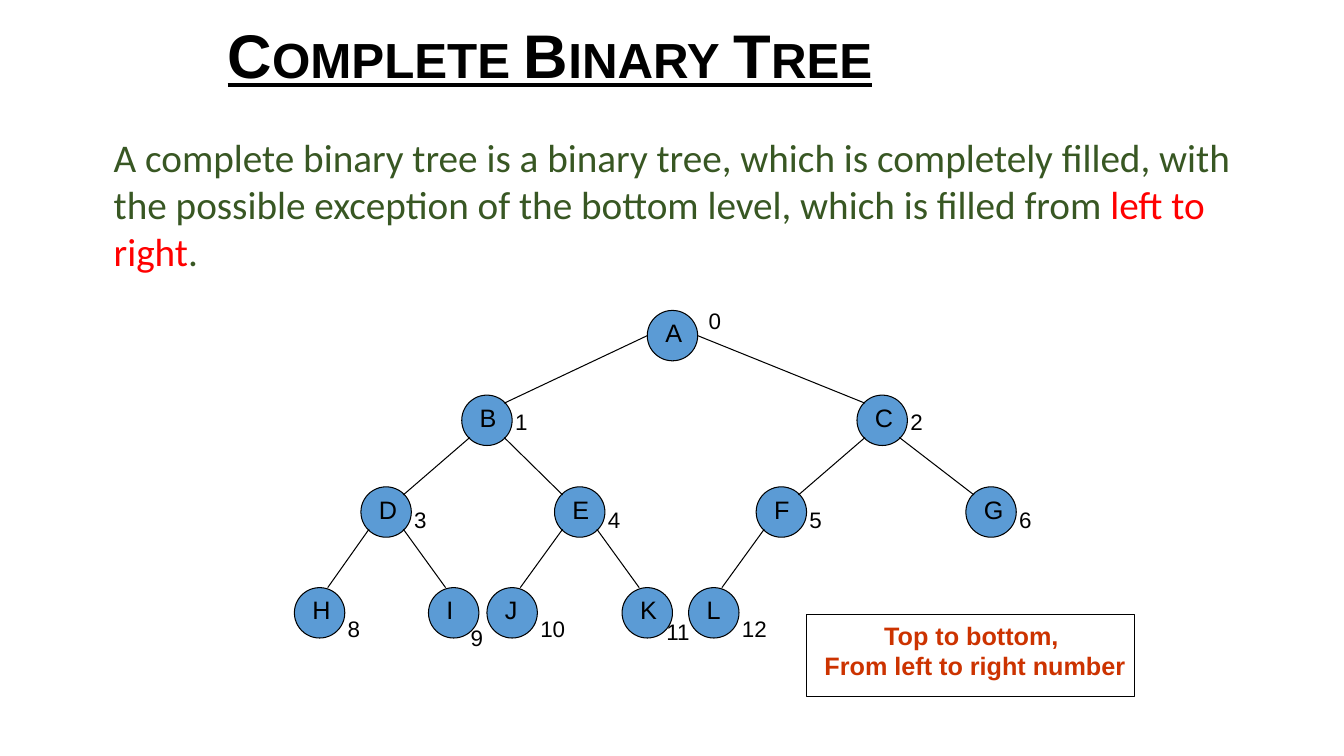
"""Build a slide that explains the complete binary tree."""
import pptx
import pptx.dml.color
import pptx.enum.shapes
import pptx.enum.text
import pptx.util
from lxml import etree

Inches = pptx.util.Inches
SHAPES = pptx.enum.shapes.MSO_SHAPE
ALIGN = pptx.enum.text.PP_ALIGN
ANCHOR = pptx.enum.text.MSO_ANCHOR
AUTO_SIZE = pptx.enum.text.MSO_AUTO_SIZE

COLORS = {"ink": "000000", "node": "5B9BD5", "definition": "385723",
          "highlight": "FF0000", "caption": "CC3300"}

TITLE = "Complete Binary Tree"
DEFINITION = [
    ("A complete binary tree is a binary tree, which is completely filled, "
     "with the possible exception of the bottom level, which is filled from ",
     "definition"),
    ("left to right", "highlight"),
    (".", "definition"),
]
CAPTION = ["Top to bottom, ", "From left to right number"]

LEVELS = [
    {"top": 3.08, "number_offset": (0.51, -0.08),
     "nodes": [("A", "0", 6.42)]},
    {"top": 3.92, "number_offset": (0.43, 0.08),
     "nodes": [("B", "1", 4.58), ("C", "2", 8.5)]},
    {"top": 4.83, "number_offset": (0.43, 0.14),
     "nodes": [("D", "3", 3.58), ("E", "4", 5.5), ("F", "5", 7.5), ("G", "6", 9.58)]},
    {"top": 5.83, "number_offset": (0.43, 0.22),
     "nodes": [("H", "8", 2.92), ("I", "9", 4.25), ("J", "10", 4.83),
               ("K", "11", 6.17), ("L", "12", 6.83)]},
]
NUMBER_OFFSETS = {"I": (0.32, 0.31), "K": (0.34, 0.25)}
EDGE_STARTS = [(0.25, 0), (0.17, 0.17), (0.17, 0.17)]
EDGE_ENDS = [(0.17, -0.17), (0.17, -0.17), (0.08, -0.25)]
DIAMETER = 0.5


def rgb(name):
    return pptx.dml.color.RGBColor.from_string(COLORS[name])


def add_text(slide, box, paragraphs, size, font="Arial", bold=False, wrap=True,
             align=ALIGN.LEFT, grow=True):
    frame = slide.shapes.add_textbox(*map(Inches, box)).text_frame
    frame.word_wrap = wrap
    frame.auto_size = AUTO_SIZE.SHAPE_TO_FIT_TEXT if grow else AUTO_SIZE.NONE
    for position, runs in enumerate(paragraphs):
        paragraph = frame.add_paragraph() if position else frame.paragraphs[0]
        paragraph.alignment = align
        for text, color in runs:
            run = paragraph.add_run()
            run.text = text
            run.font.size = pptx.util.Pt(size)
            run.font.name = font
            run.font.bold = bold
            run.font.color.rgb = rgb(color)
    return frame


def add_outlined(slide, kind, box, fill=None):
    shape = slide.shapes.add_shape(kind, *map(Inches, box))
    shape.shadow.inherit = False
    if fill:
        shape.fill.solid()
        shape.fill.fore_color.rgb = rgb(fill)
    else:
        shape.fill.background()
    shape.line.color.rgb = rgb("ink")
    shape.line.width = pptx.util.Pt(0.75)


def add_edge(slide, start, end):
    edge = slide.shapes.add_connector(
        pptx.enum.shapes.MSO_CONNECTOR.STRAIGHT, *map(Inches, start + end))
    edge.line.color.rgb = rgb("ink")
    edge.line.width = pptx.util.Pt(0.75)
    etree.SubElement(edge._element.spPr, pptx.oxml.ns.qn("a:effectLst"))


def add_title(slide):
    frame = add_text(slide, (2.16, 0.08, 9, 1), [[(TITLE, "ink")]], 44,
                     bold=True, grow=False)
    frame.vertical_anchor = ANCHOR.MIDDLE
    heading = frame.paragraphs[0]
    heading.line_spacing = 0.9
    heading.runs[0].font.underline = True
    heading.runs[0]._r.get_or_add_rPr().set("cap", "small")


def add_node(slide, letter, number, left, level):
    top = level["top"]
    add_outlined(slide, SHAPES.OVAL, (left, top, DIAMETER, DIAMETER), "node")
    add_text(slide, (left + 0.08, top + 0.02, 0.33, 0.4), [[(letter, "ink")]], 18)
    across, down = NUMBER_OFFSETS.get(letter, level["number_offset"])
    width = 0.33 if len(number) == 1 else 0.45
    add_text(slide, (left + across, top + down, width, 0.37), [[(number, "ink")]],
             16, wrap=False)


def add_tree(slide):
    radius = DIAMETER / 2
    for depth, level in enumerate(LEVELS):
        for position, (letter, number, left) in enumerate(level["nodes"]):
            add_node(slide, letter, number, left, level)
            if depth == 0:
                continue
            parent_level = LEVELS[depth - 1]
            parent_left = parent_level["nodes"][position // 2][2]
            side = 1 if position % 2 else -1
            start_x, start_y = EDGE_STARTS[depth - 1]
            end_x, end_y = EDGE_ENDS[depth - 1]
            add_edge(slide,
                     (parent_left + radius + side * start_x,
                      parent_level["top"] + radius + start_y),
                     (left + radius - side * end_x, level["top"] + radius + end_y))


def main():
    deck = pptx.Presentation()
    deck.slide_width, deck.slide_height = Inches(13.33), Inches(7.5)
    slide = deck.slides.add_slide(deck.slide_layouts[6])
    add_title(slide)
    add_tree(slide)
    add_text(slide, (1.03, 1.27, 11.37, 1.51), [DEFINITION], 28, font="Calibri")
    add_text(slide, (8.06, 6.1, 3.22, 0.71), [[(line, "caption")] for line in CAPTION],
             18, bold=True, wrap=False, align=ALIGN.CENTER)
    add_outlined(slide, SHAPES.RECTANGLE, (8, 6.1, 3.25, 0.81))
    deck.save("out.pptx")


if __name__ == "__main__":
    main()
